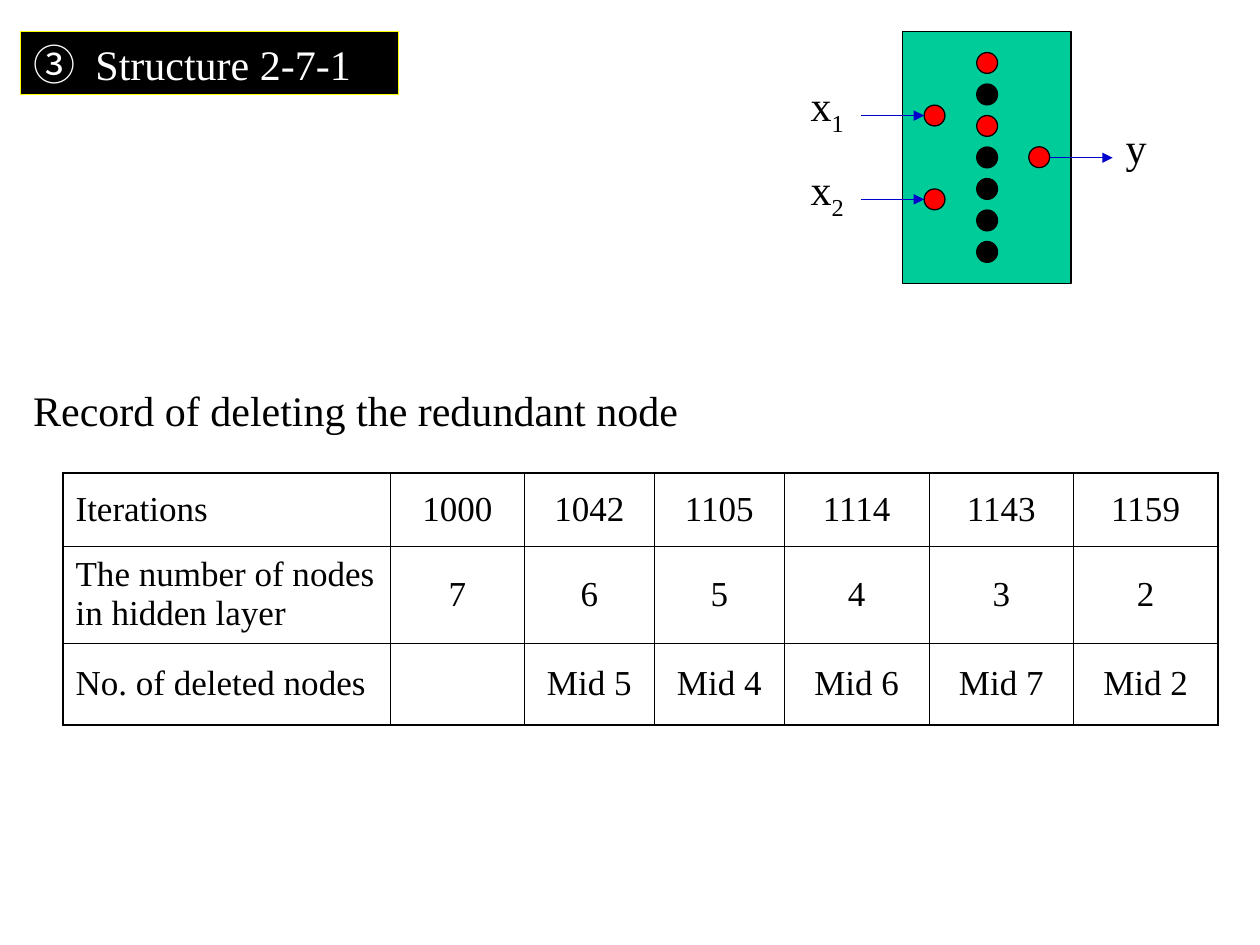
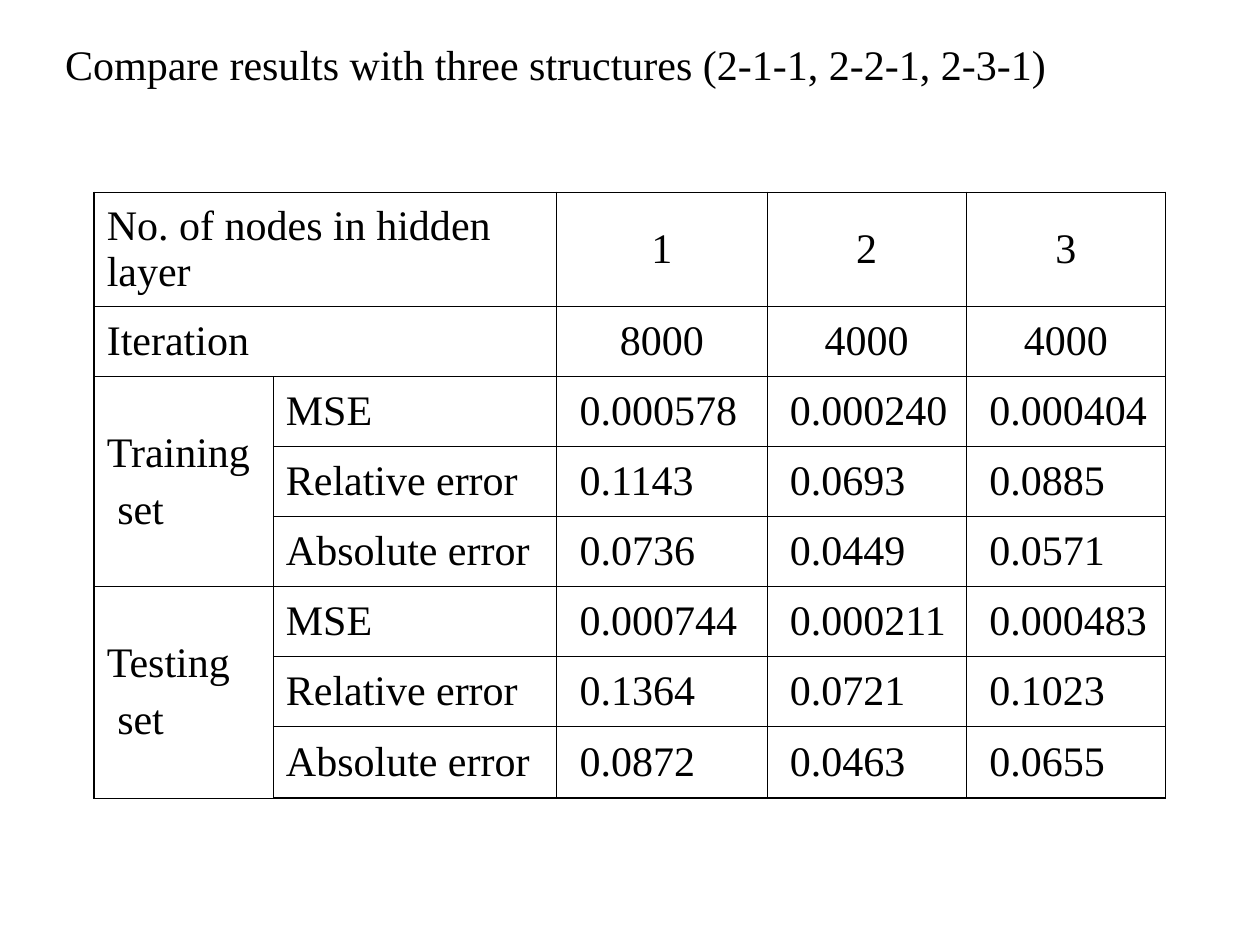
from lxml import etree
from pptx import Presentation
from pptx import util as u
from pptx.dml.color import RGBColor
from pptx.enum import shapes, text
from pptx.oxml import parse_xml
from pptx.oxml.ns import nsdecls, qn

COL = {"black": "000000", "white": "FFFFFF", "yellow": "FFFF00",
       "green": "00CC99", "red": "FF0000", "blue": "0000CC"}
FONT, CJK_FONT = "Times New Roman", "Noto Sans CJK SC"
SPACE = u.Cm(0.21)


def style(p, size=24, color="black"):
    for r in p.runs:
        r.font.size = u.Pt(size)
        r.font.name = FONT
        r.font.color.rgb = RGBColor.from_string(COL[color])


def add_grid(s, rows, left, top, widths, heights, size):
    """Plain table with thin inner rules and a heavier frame."""
    tb = s.shapes.add_table(len(rows), len(widths), u.Cm(left), u.Cm(top),
                            u.Cm(sum(widths)), u.Cm(sum(heights))).table
    tb.first_row = tb.horz_banding = False
    for c, w in enumerate(widths):
        tb.columns[c].width = u.Cm(w)
    for i, row in enumerate(rows):
        tb.rows[i].height = u.Cm(heights[i])
        for c, value in enumerate(row):
            cell = tb.cell(i, c)
            cell.fill.background()
            cell.vertical_anchor = text.MSO_ANCHOR.MIDDLE
            edges = {"lnL": c == 0, "lnR": c == len(row) - 1,
                     "lnT": i == 0, "lnB": i == len(rows) - 1}
            for k, (tag, outer) in enumerate(edges.items()):
                width = u.Pt(1.08 if outer else 0.45)
                cell._tc.get_or_add_tcPr().insert(k, parse_xml(
                    f'<a:{tag} {nsdecls("a")} w="{width}"><a:solidFill>'
                    f'<a:srgbClr val="{COL["black"]}"/></a:solidFill></a:{tag}>'))
            cell.text_frame.text = value
            for p in cell.text_frame.paragraphs:
                style(p, size)
    return tb


prs = Presentation()
prs.slide_width, prs.slide_height = u.Cm(25.4), u.Cm(19.05)

# Slides with their titles
titles = [("③\tStructure 2-7-1", 0.42, 7.62, "white"),
          ("Compare results with three structures (2-1-1, 2-2-1, 2-3-1)", 1.06, 20.53, "black")]
for title, left, width, color in titles:
    s = prs.slides.add_slide(prs.slide_layouts[5])
    sp = s.shapes.title
    sp.left, sp.top, sp.width, sp.height = u.Cm(left), u.Cm(0.64), u.Cm(width), u.Cm(1.27)
    tf = sp.text_frame
    tf.text = title
    tf.word_wrap = True
    tf.auto_size = text.MSO_AUTO_SIZE.NONE
    tf.vertical_anchor = text.MSO_ANCHOR.TOP
    tf.paragraphs[0].alignment = text.PP_ALIGN.LEFT
    style(tf.paragraphs[0], color=color)
structure, comparison = prs.slides

# Black title band with a circled number
sp = structure.shapes.title
sp.fill.solid()
sp.fill.fore_color.rgb = RGBColor.from_string(COL["black"])
sp.line.color.rgb = RGBColor.from_string(COL["yellow"])
sp.line.width = u.Pt(0.75)
p = sp.text_frame.paragraphs[0]
number, name = p.text[0], p.text[1:]
p.text = number
p.add_run().text = name
p._p.get_or_add_pPr().append(parse_xml(
    f'<a:tabLst {nsdecls("a")}><a:tab pos="{u.Cm(1.25)}" algn="l"/></a:tabLst>'))
style(p, color="white")
p.runs[0].font.name = CJK_FONT
etree.SubElement(p.runs[0]._r.get_or_add_rPr(), qn("a:ea")).set("typeface", CJK_FONT)

# Network: block, hidden nodes, inputs and output
node, first, last = 0.42, 1.06, 4.87
parts = [("RECTANGLE", 18.2, 0.64, 3.39, 5.08, "green")]
for i in range(7):
    parts.append(("OVAL", 19.69, first + i * (last - first) / 6, node, node,
                  "red" if i in (0, 2) else "black"))
parts += [("OVAL", x, y, node, node, "red")
          for x, y in [(18.63, 2.12), (20.74, 2.96), (18.63, 3.81)]]
for kind, x, y, w, h, color in parts:
    sp = structure.shapes.add_shape(getattr(shapes.MSO_SHAPE, kind),
                                    u.Cm(x), u.Cm(y), u.Cm(w), u.Cm(h))
    sp.shadow.inherit = False
    sp.fill.solid()
    sp.fill.fore_color.rgb = RGBColor.from_string(COL[color])
    sp.line.color.rgb = RGBColor.from_string(COL["black"])
    sp.line.width = u.Pt(0.75)

# Signal arrows
for x, y in [(21.16, 3.18), (17.36, 2.33), (17.36, 4.02)]:
    sp = structure.shapes.add_connector(shapes.MSO_CONNECTOR.STRAIGHT,
                                        u.Cm(x), u.Cm(y), u.Cm(x + 1.27), u.Cm(y))
    sp.line.color.rgb = RGBColor.from_string(COL["blue"])
    sp.line.width = u.Pt(0.75)
    etree.SubElement(sp.line._get_or_add_ln(), qn("a:tailEnd")).set("type", "triangle")
    etree.SubElement(sp._element.spPr, qn("a:effectLst"))

# Signal labels and table caption
labels = [("x", "1", 16.09, 1.48, 1.27), ("x", "2", 16.09, 3.18, 1.48),
          ("y", "", 22.44, 2.33, 1.06),
          ("Record of deleting the redundant node", "", 0.42, 7.62, 13.55)]
for label, index, x, y, w in labels:
    sp = structure.shapes.add_textbox(u.Cm(x), u.Cm(y), u.Cm(w), u.Cm(1.27))
    tf = sp.text_frame
    tf.text = label
    tf.word_wrap = True
    p = tf.paragraphs[0]
    if index:
        r = p.add_run()
        r.text = index
        r._r.get_or_add_rPr().set("baseline", "-25000")
    style(p)

# Deletion record
record = [
    ["Iterations", "1000", "1042", "1105", "1114", "1143", "1159"],
    ["The number of nodes in hidden layer", "7", "6", "5", "4", "3", "2"],
    ["No. of deleted nodes", "", "Mid 5", "Mid 4", "Mid 6", "Mid 7", "Mid 2"]]
tb = add_grid(structure, record, 1.27, 9.53, [6.6, 2.7, 2.62, 2.62, 2.92, 2.91, 2.91],
              [1.48, 1.95, 1.65], 20)
for i in range(3):
    for c in range(1, 7):
        tb.cell(i, c).text_frame.paragraphs[0].alignment = text.PP_ALIGN.CENTER

# Comparison of the three structures
results = [
    ["No. of nodes in hidden layer", "", "1", "2", "3"],
    ["Iteration", "", "8000", "4000", "4000"],
    ["Training\nset", "MSE", "0.000578", "0.000240", "0.000404"],
    ["", "Relative error", "0.1143", "0.0693", "0.0885"],
    ["", "Absolute error", "0.0736", "0.0449", "0.0571"],
    ["Testing\nset", "MSE", "0.000744", "0.000211", "0.000483"],
    ["", "Relative error", "0.1364", "0.0721", "0.1023"],
    ["", "Absolute error", "0.0872", "0.0463", "0.0655"]]
tb = add_grid(comparison, results, 1.9, 3.88, [3.61, 5.71, 4.24, 4.02, 4.02],
              [2.3] + [1.41] * 6 + [1.45], 24)
for i in range(2):
    tb.cell(i, 0).merge(tb.cell(i, 1))
for i in (2, 5):
    tb.cell(i, 0).merge(tb.cell(i + 2, 0))
    p = tb.cell(i, 0).text_frame.paragraphs[1]
    p.space_before = u.Pt(6)
    p._p.get_or_add_pPr().set("marL", str(SPACE))
for i in range(8):
    for c in range(2, 5):
        p = tb.cell(i, c).text_frame.paragraphs[0]
        if i < 2:
            p.alignment = text.PP_ALIGN.CENTER
        else:
            p._p.get_or_add_pPr().set("marL", str(SPACE))

prs.save("out.pptx")
